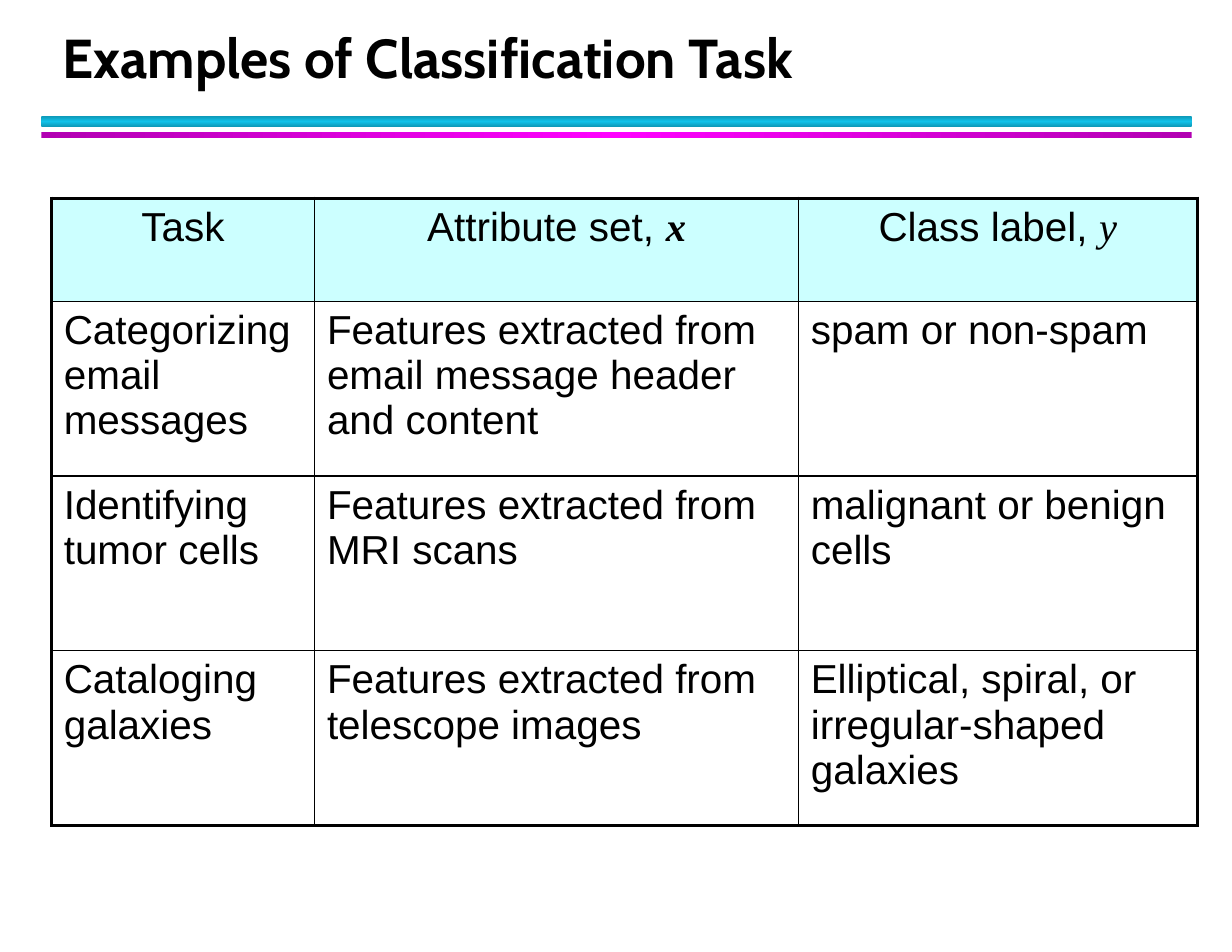
from copy import deepcopy

from pptx import Presentation
from pptx import util as u
from pptx.dml.color import RGBColor
from pptx.enum import shapes, text
from pptx.oxml import parse_xml
from pptx.oxml.ns import nsdecls, qn

BLACK = RGBColor(0x00, 0x00, 0x00)
HEADER_FILL = RGBColor(0xCC, 0xFF, 0xFF)
CYAN = RGBColor(0x12, 0xC2, 0xE9)
DARK_CYAN = RGBColor(0x0E, 0x9B, 0xBA)
MAGENTA = RGBColor(0xFF, 0x00, 0xFF)
DARK_MAGENTA = RGBColor(0xB2, 0x00, 0xB2)

TITLE_FONT = {"name": "Cabin", "size": u.Pt(35.2), "bold": True}
BODY_FONT = {"name": "Arial", "size": u.Pt(26)}
SYMBOL_FONT = {"name": "Times New Roman", "size": u.Pt(26), "italic": True}
VECTOR_FONT = {**SYMBOL_FONT, "bold": True}
CELL_FORMAT = {
    "margin_left": u.Inches(0.11), "margin_right": u.Inches(0.11),
    "margin_top": u.Inches(0.06), "margin_bottom": u.Inches(0.06),
    "vertical_anchor": text.MSO_ANCHOR.TOP,
}
OUTER, INNER = 2.25, 1

COLUMN_WIDTHS = [2.35, 4.32, 3.56]
ROW_HEIGHTS = [0.92, 1.56, 1.56, 1.56]
HEADER = [
    [("Task", BODY_FONT)],
    [("Attribute set, ", BODY_FONT), ("x", VECTOR_FONT)],
    [("Class label, ", BODY_FONT), ("y", SYMBOL_FONT)],
]
TASKS = [
    ("Categorizing email messages",
     "Features extracted from email message header and content",
     "spam or non-spam"),
    ("Identifying tumor cells",
     "Features extracted from MRI scans",
     "malignant or benign cells"),
    ("Cataloging galaxies",
     "Features extracted from telescope images",
     "Elliptical, spiral, or irregular-shaped galaxies"),
]


def apply(target, values):
    for name, value in values.items():
        setattr(target, name, value)


class SlideBuilder:
    """Draws the styled elements of one slide."""

    def __init__(self, slide):
        self.slide = slide

    def add_runs(self, paragraph, runs):
        for words, font in runs:
            run = paragraph.add_run()
            run.text = words
            apply(run.font, font)
            run.font.color.rgb = BLACK

    def title(self, words, left, top, width, height):
        heading = self.slide.shapes.title
        apply(heading, {"left": u.Inches(left), "top": u.Inches(top),
                        "width": u.Inches(width), "height": u.Inches(height)})
        apply(heading.text_frame, {
            "vertical_anchor": text.MSO_ANCHOR.BOTTOM,
            "auto_size": text.MSO_AUTO_SIZE.NONE, "word_wrap": True})
        paragraph = heading.text_frame.paragraphs[0]
        apply(paragraph, {"alignment": text.PP_ALIGN.LEFT,
                          "line_spacing": u.Pt(39.6)})
        self.add_runs(paragraph, [(words, TITLE_FONT)])

    def rule(self, top, height, edge, middle, angle):
        bar = self.slide.shapes.add_shape(
            shapes.MSO_SHAPE.RECTANGLE, u.Inches(0.37), u.Inches(top),
            u.Inches(10.27), u.Inches(height))
        bar.shadow.inherit = False
        bar.line.fill.background()
        bar.fill.gradient()
        bar.fill.gradient_angle = angle
        stops = bar._element.spPr.find(qn("a:gradFill")).find(qn("a:gsLst"))
        stops.insert(1, deepcopy(stops[0]))
        stops[1].set("pos", "50000")
        for stop, color in zip(bar.fill.gradient_stops, (edge, middle, edge)):
            stop.color.rgb = color

    def borders(self, cell, widths):
        properties = cell._tc.get_or_add_tcPr()
        for side, points in widths.items():
            properties.append(parse_xml(
                f'<a:ln{side} {nsdecls("a")} w="{int(u.Pt(points))}">'
                f'<a:solidFill><a:srgbClr val="{BLACK}"/></a:solidFill>'
                f'</a:ln{side}>'))

    def table(self, rows, left, top):
        grid = self.slide.shapes.add_table(
            len(rows), len(COLUMN_WIDTHS), u.Inches(left), u.Inches(top),
            u.Inches(sum(COLUMN_WIDTHS)), u.Inches(sum(ROW_HEIGHTS))).table
        for column, width in zip(grid.columns, COLUMN_WIDTHS):
            column.width = u.Inches(width)
        for row, height in zip(grid.rows, ROW_HEIGHTS):
            row.height = u.Inches(height)
        last_row, last_column = len(rows) - 1, len(COLUMN_WIDTHS) - 1
        for r, row in enumerate(rows):
            for c, runs in enumerate(row):
                cell = grid.cell(r, c)
                apply(cell, CELL_FORMAT)
                self.borders(cell, {
                    "L": OUTER if c == 0 else INNER,
                    "R": OUTER if c == last_column else INNER,
                    "T": OUTER if r == 0 else INNER,
                    "B": OUTER if r == last_row else INNER})
                if r == 0:
                    cell.fill.solid()
                    cell.fill.fore_color.rgb = HEADER_FILL
                else:
                    cell.fill.background()
                paragraph = cell.text_frame.paragraphs[0]
                apply(paragraph, {
                    "alignment": text.PP_ALIGN.LEFT if r else text.PP_ALIGN.CENTER,
                    "space_before": u.Pt(2.6), "space_after": u.Pt(4)})
                self.add_runs(paragraph, [
                    (words, {"bold": False, **font}) for words, font in runs])


def main():
    deck = Presentation()
    deck.slide_width, deck.slide_height = u.Inches(11), u.Inches(8.5)
    builder = SlideBuilder(deck.slides.add_slide(deck.slide_layouts[5]))
    builder.rule(1.04, 0.09, DARK_CYAN, CYAN, 90)
    builder.rule(1.18, 0.05, DARK_MAGENTA, MAGENTA, 0)
    builder.title("Examples of Classification Task", 0.46, 0.19, 9.96, 0.66)
    body = [[[(words, BODY_FONT)] for words in task] for task in TASKS]
    builder.table([HEADER] + body, 0.46, 1.77)
    deck.save("out.pptx")


if __name__ == "__main__":
    main()
